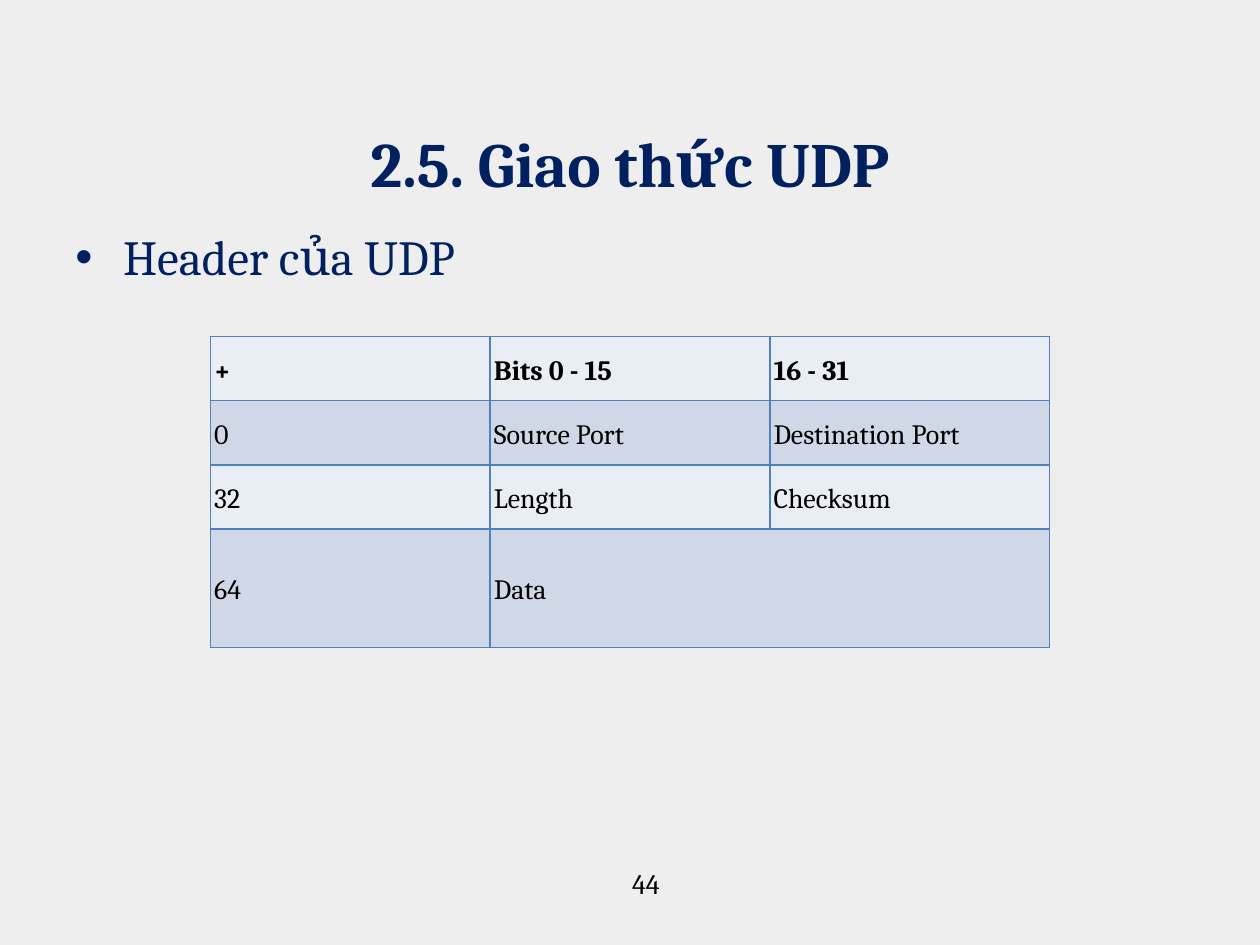
from dataclasses import dataclass

from lxml import etree
from pptx import Presentation
from pptx.dml.color import RGBColor
from pptx.enum.text import MSO_ANCHOR, PP_ALIGN
from pptx.oxml.ns import qn
from pptx.util import Inches, Pt

LEFT, CENTER, JUSTIFY = PP_ALIGN.LEFT, PP_ALIGN.CENTER, PP_ALIGN.JUSTIFY
TOP, MIDDLE, BOTTOM = MSO_ANCHOR.TOP, MSO_ANCHOR.MIDDLE, MSO_ANCHOR.BOTTOM

FONT = "Cambria"
COLORS = {
    "background": "EEEEEE",
    "heading": "002060",
    "text": "000000",
    "border": "4F81BD",
    "light_row": "E9EDF4",
    "dark_row": "D0D8E8",
}
HEADER_FIELDS = [
    ["+", "Bits 0 - 15", "16 - 31"],
    ["0", "Source Port", "Destination Port"],
    ["32", "Length", "Checksum"],
    ["64", "Data", ""],
]
COLUMN_WIDTH = 2.22
ROW_HEIGHTS = [0.51, 0.51, 0.51, 0.94]
CELL_MARGIN = 0.03


@dataclass
class TextBlock:
    text: str
    left: float
    top: float
    width: float
    height: float
    size: int
    color: str
    align: PP_ALIGN = CENTER
    anchor: MSO_ANCHOR = TOP
    bold: bool = False
    bullet: bool = False


TEXT_BLOCKS = [
    TextBlock("Header của UDP", 0.5, 1.75, 8.83, 5.25, 28, "heading", LEFT, bullet=True),
    TextBlock("2.5. Giao thức UDP", 0.5, 0.39, 9, 1.25, 36, "heading", anchor=BOTTOM, bold=True),
    TextBlock("44", 0.75, 6.83, 8.75, 0.52, 16, "text"),
]


def rgb(name: str) -> RGBColor:
    return RGBColor.from_string(COLORS[name])


def format_runs(paragraph, size: int, color: str, bold: bool) -> None:
    for run in paragraph.runs:
        run.font.name = FONT
        run.font.size = Pt(size)
        run.font.bold = bold
        run.font.color.rgb = rgb(color)


def add_bullet(paragraph) -> None:
    properties = paragraph._p.get_or_add_pPr()
    properties.set("marL", str(Inches(0.38)))
    properties.set("indent", str(-Inches(0.38)))
    font = etree.SubElement(properties, qn("a:buFont"))
    font.set("typeface", "Arial")
    etree.SubElement(properties, qn("a:buChar")).set("char", "•")


def add_text(slide, block: TextBlock) -> None:
    shape = slide.shapes.add_textbox(
        Inches(block.left), Inches(block.top), Inches(block.width), Inches(block.height)
    )
    text_frame = shape.text_frame
    text_frame.word_wrap = True
    text_frame.vertical_anchor = block.anchor
    text_frame.text = block.text
    paragraph = text_frame.paragraphs[0]
    paragraph.alignment = block.align
    if block.bullet:
        add_bullet(paragraph)
    format_runs(paragraph, block.size, block.color, block.bold)


def add_borders(cell) -> None:
    properties = cell._tc.get_or_add_tcPr()
    for side in ("a:lnL", "a:lnR", "a:lnT", "a:lnB"):
        line = etree.SubElement(properties, qn(side))
        line.set("w", str(Pt(1)))
        fill = etree.SubElement(line, qn("a:solidFill"))
        etree.SubElement(fill, qn("a:srgbClr")).set("val", COLORS["border"])


def format_cell(cell, text: str, row_index: int) -> None:
    add_borders(cell)
    cell.fill.solid()
    cell.fill.fore_color.rgb = rgb("dark_row" if row_index % 2 else "light_row")
    cell.vertical_anchor = MIDDLE
    cell.margin_left = cell.margin_right = Inches(CELL_MARGIN)
    cell.margin_top = cell.margin_bottom = Inches(CELL_MARGIN)
    cell.text_frame.text = text
    paragraph = cell.text_frame.paragraphs[0]
    paragraph.alignment = JUSTIFY
    paragraph.line_spacing = 1.15
    format_runs(paragraph, 16, "text", bold=row_index == 0)


def add_header_table(slide) -> None:
    row_count, column_count = len(HEADER_FIELDS), len(HEADER_FIELDS[0])
    table = slide.shapes.add_table(
        row_count, column_count, Inches(1.67), Inches(2.67),
        Inches(COLUMN_WIDTH * column_count), Inches(sum(ROW_HEIGHTS)),
    ).table
    for column in table.columns:
        column.width = Inches(COLUMN_WIDTH)
    for row_index, fields in enumerate(HEADER_FIELDS):
        table.rows[row_index].height = Inches(ROW_HEIGHTS[row_index])
        for column_index, text in enumerate(fields):
            format_cell(table.cell(row_index, column_index), text, row_index)
    # The data field spans both bit columns
    table.cell(3, 1).merge(table.cell(3, 2))


def main() -> None:
    presentation = Presentation()
    presentation.slide_width = Inches(10)
    presentation.slide_height = Inches(7.5)
    slide = presentation.slides.add_slide(presentation.slide_layouts[6])

    # Background
    slide.background.fill.solid()
    slide.background.fill.fore_color.rgb = rgb("background")

    # Bullet, title and page number
    for block in TEXT_BLOCKS:
        add_text(slide, block)

    # UDP header layout
    add_header_table(slide)
    presentation.save("out.pptx")


if __name__ == "__main__":
    main()
